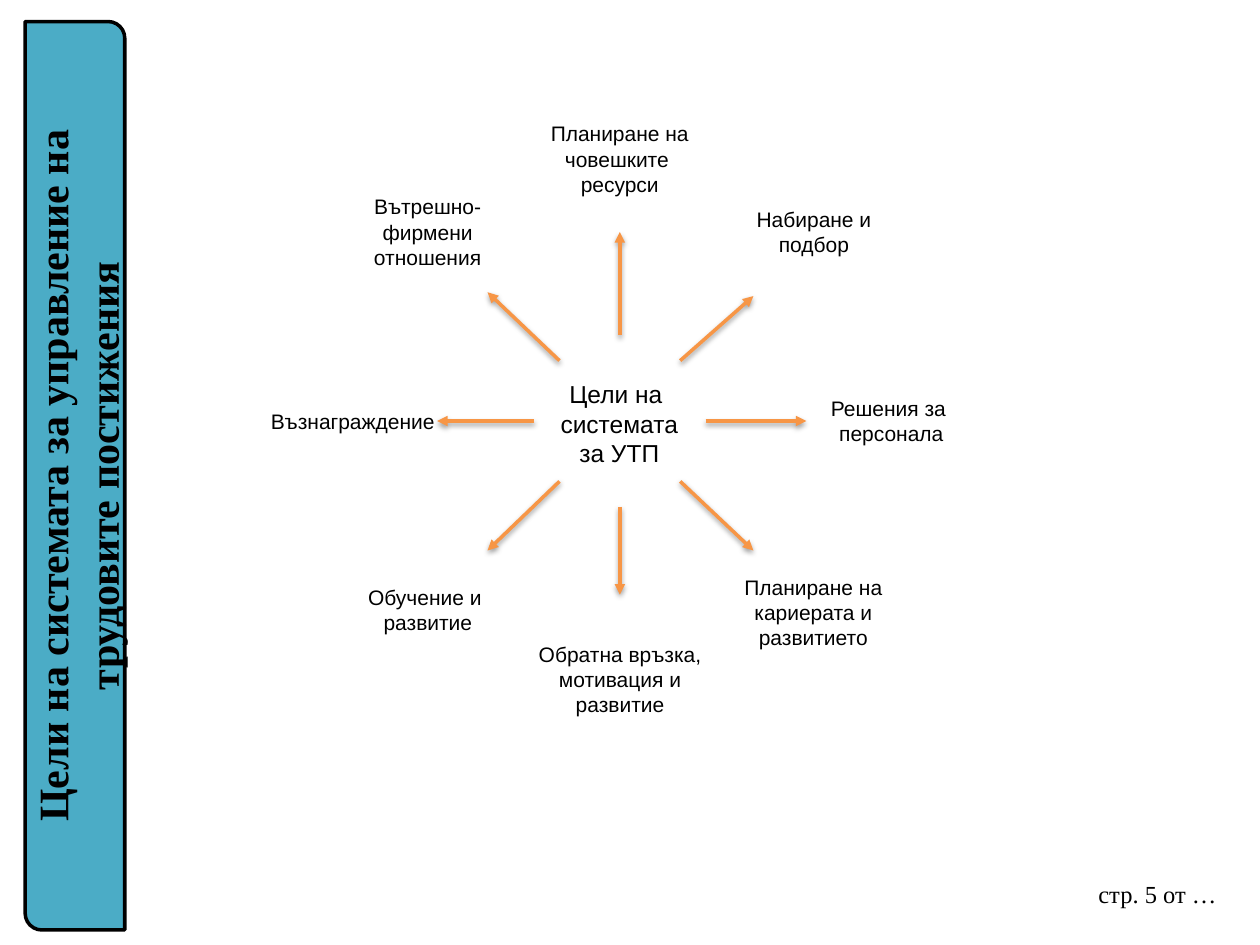
from pptx import Presentation
from pptx.util import Pt
from pptx.dml.color import RGBColor as Rgb
from pptx.enum.shapes import MSO_SHAPE as Shape, MSO_CONNECTOR as Conn
from pptx.enum.text import PP_ALIGN as Align, MSO_ANCHOR as Anchor, MSO_AUTO_SIZE as Auto
from pptx.oxml import parse_xml

HUE = {"ink": "000000", "bar": "4BACC6", "ray": "F79646"}
TITLE = "Цели на системата за управление на трудовите постижения"
BAR = (-216.7, 243.4, 519.1, 56.9)
HUB = (["Цели на ", "системата", "за УТП"], 280.8, 213.1, 146.2, 58.3)
GOALS = [
    (["Планиране на човешките ", "ресурси"], 293, 65.5, 122.4, 51.1),
    (["Обратна връзка, мотивация и развитие"], 290.2, 362.9, 128.2, 51.1),
    (["Решения за ", "персонала"], 436.3, 222.5, 146.2, 36),
    (["Възнаграждение"], 136.8, 229.7, 129.6, 21.6),
    (["Вътрешно-", "фирмени", "отношения"], 180.7, 107.3, 127.4, 51.1),
    (["Набиране и подбор"], 416.2, 114.5, 97.9, 36),
    (["Обучение и ", "развитие"], 171.4, 330.5, 146.2, 36),
    (["Планиране на кариерата и развитието"], 391.7, 324.7, 146.2, 51.1),
]
MID = (354.2, 240.6)
RAYS = [
    ((0, -49), (0, -108)),
    ((0, 49), (0, 99.2)),
    ((-49, 0), (-104.4, 0)),
    ((49, 0), (106.6, 0)),
    ((-34.5, 34.5), (-75.6, 74)),
    ((34.5, 34.5), (76.3, 74)),
    ((34.5, -34.5), (76.3, -71.4)),
    ((-34.5, -34.5), (-75.6, -73.6)),
]
PAGE = (["стр. 5 от …"], 620.6, 499, 93.6, 37.4)
NS = 'xmlns:a="http://schemas.openxmlformats.org/drawingml/2006/main"'
SHADE = (f'<a:effectLst {NS}><a:outerShdw blurRad="{Pt(3.1)}" dist="{Pt(1.6)}" '
         'dir="5400000" rotWithShape="0"><a:srgbClr val="000000">'
         '<a:alpha val="38000"/></a:srgbClr></a:outerShdw></a:effectLst>')
HEAD = f'<a:tailEnd {NS} type="triangle"/>'


def place(item, box):
    for name, val in zip(("left", "top", "width", "height"), box):
        setattr(item, name, Pt(val))


def write(frame, rows, size, face, align, bold=False):
    frame.word_wrap = True
    look = {"size": Pt(size), "name": face, "bold": bold}
    for i, row in enumerate(rows):
        para = frame.paragraphs[0] if i == 0 else frame.add_paragraph()
        para.alignment = align
        run = para.add_run()
        run.text = row
        for key, val in look.items():
            setattr(run.font, key, val)
        run.font.color.rgb = Rgb.from_string(HUE["ink"])


def label(slide, item, size, face="Arial", align=Align.CENTER):
    rows, *box = item
    text = slide.shapes.add_textbox(*map(Pt, box))
    write(text.text_frame, rows, size, face, align)


def stroke(line, hue):
    line.color.rgb = Rgb.from_string(HUE[hue])
    line.width = Pt(2)


def ray(slide, start, end):
    ends = [Pt(m + d) for spot in (start, end) for m, d in zip(MID, spot)]
    item = slide.shapes.add_connector(Conn.STRAIGHT, *ends)
    stroke(item.line, "ray")
    item.line._get_or_add_ln().append(parse_xml(HEAD))
    item._element.spPr.append(parse_xml(SHADE))


def banner(slide):
    bar = slide.shapes.add_shape(Shape.ROUND_2_DIAG_RECTANGLE, *map(Pt, BAR))
    bar.shadow.inherit = False
    bar.rotation = 270
    bar.fill.solid()
    bar.fill.fore_color.rgb = Rgb.from_string(HUE["bar"])
    stroke(bar.line, "ink")
    title = slide.shapes.title
    place(title, BAR)
    title.rotation = 270
    frame = title.text_frame
    look = {"auto_size": Auto.NONE, "vertical_anchor": Anchor.MIDDLE,
            "margin_left": Pt(12), "margin_right": Pt(12),
            "margin_top": Pt(2), "margin_bottom": Pt(0)}
    for key, val in look.items():
        setattr(frame, key, val)
    write(frame, [TITLE], 24, "Times New Roman", Align.CENTER, True)
    bar._element.addnext(title._element)


def main():
    deck = Presentation()
    deck.slide_width, deck.slide_height = Pt(720), Pt(540)
    slide = deck.slides.add_slide(deck.slide_layouts[5])
    label(slide, PAGE, 14, "Times New Roman", Align.LEFT)
    label(slide, HUB, 14)
    for goal in GOALS:
        label(slide, goal, 12)
    for start, end in RAYS:
        ray(slide, start, end)
    banner(slide)
    deck.save("out.pptx")


if __name__ == "__main__":
    main()
